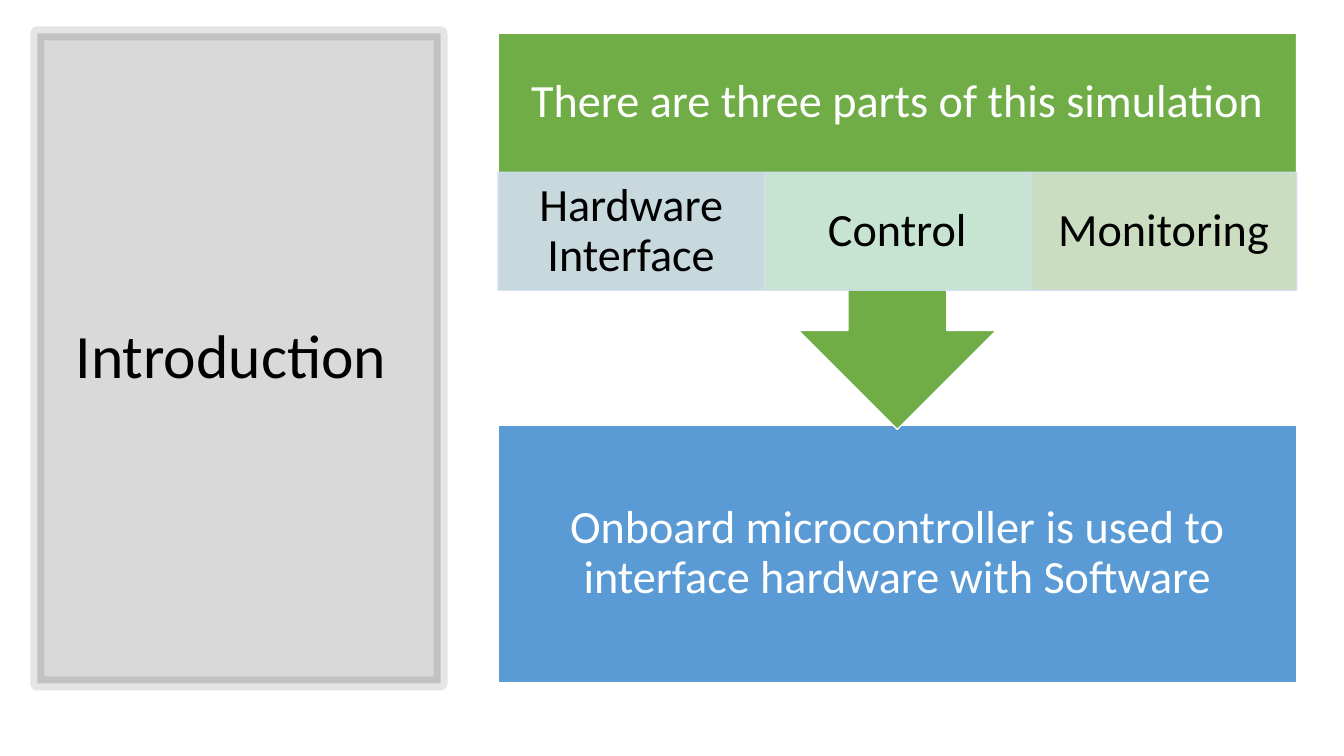
from lxml import etree
from pptx import Presentation
from pptx import util as u
from pptx.dml.color import RGBColor
from pptx.enum import shapes, text
from pptx.oxml import ns

BLACK = RGBColor(0x00, 0x00, 0x00)
WHITE = RGBColor(0xFF, 0xFF, 0xFF)
GREEN = RGBColor(0x70, 0xAD, 0x47)
BLUE = RGBColor(0x5B, 0x9B, 0xD5)
CELL_LINE = RGBColor(0xD2, 0xDE, 0xEF)
PARTS = [
    ("Hardware Interface", CELL_LINE),
    ("Control", RGBColor(0xD0, 0xEA, 0xE1)),
    ("Monitoring", RGBColor(0xD5, 0xE3, 0xCF)),
]

FLOW_LEFT, FLOW_WIDTH = 4.94, 7.92
TOP = 0.33
HEADING_HEIGHT, PART_HEIGHT = 1.38, 1.17


def set_opacity(fill_parent, percent):
    """Make the solid fill directly under this element partly transparent."""
    color = fill_parent.find(ns.qn("a:solidFill"))[0]
    etree.SubElement(color, ns.qn("a:alpha")).set("val", str(percent * 1000))


def add_block(slide, kind, box, fill, line, line_width=1,
              fill_opacity=100, line_opacity=100):
    shape = slide.shapes.add_shape(kind, *map(u.Inches, box))
    shape.shadow.inherit = False
    shape.fill.solid()
    shape.fill.fore_color.rgb = fill
    shape.line.color.rgb = line
    shape.line.width = u.Pt(line_width)
    properties = shape.fill._xPr
    if fill_opacity < 100:
        set_opacity(properties, fill_opacity)
    if line_opacity < 100:
        set_opacity(properties.find(ns.qn("a:ln")), line_opacity)
    return shape


def write(shape, words, color, size=33, align=text.PP_ALIGN.CENTER,
          side=0.25, edge=0.05):
    frame = shape.text_frame
    frame.text = words
    frame.word_wrap = True
    frame.vertical_anchor = text.MSO_ANCHOR.MIDDLE
    frame.margin_left = frame.margin_right = u.Inches(side)
    frame.margin_top = frame.margin_bottom = u.Inches(edge)
    paragraph = frame.paragraphs[0]
    paragraph.alignment = align
    paragraph.line_spacing = 0.9
    font = paragraph.runs[0].font
    font.name = "Calibri"
    font.size = u.Pt(size)
    font.color.rgb = color


def add_title_panel(slide):
    panel = add_block(slide, shapes.MSO_SHAPE.RECTANGLE, (0.37, TOP, 4, 6.45),
                      BLACK, BLACK, 10, fill_opacity=15, line_opacity=10)
    write(panel, "Introduction", BLACK, 44, text.PP_ALIGN.LEFT, side=0.38)


def add_result(slide):
    result = add_block(slide, shapes.MSO_SHAPE.RECTANGLE,
                       (FLOW_LEFT, 4.22, FLOW_WIDTH, 2.55), BLUE, WHITE)
    write(result, "Onboard microcontroller is used to interface hardware "
          "with Software", WHITE, edge=0.25)


def add_callout(slide):
    callout = add_block(slide, shapes.MSO_SHAPE.UP_ARROW_CALLOUT,
                        (FLOW_LEFT, TOP, FLOW_WIDTH, 3.93), GREEN, WHITE)
    callout.rotation = 180
    # The callout is upside down, so its heading has its own upright box
    heading = slide.shapes.add_textbox(
        *map(u.Inches, (FLOW_LEFT, TOP, FLOW_WIDTH, HEADING_HEIGHT)))
    write(heading, "There are three parts of this simulation", WHITE, edge=0.25)


def add_parts(slide):
    width = FLOW_WIDTH / len(PARTS)
    for index, (name, fill) in enumerate(PARTS):
        box = (FLOW_LEFT + index * width, TOP + HEADING_HEIGHT, width, PART_HEIGHT)
        part = add_block(slide, shapes.MSO_SHAPE.RECTANGLE, box, fill, CELL_LINE,
                         fill_opacity=90, line_opacity=90)
        write(part, name, BLACK)


def main():
    presentation = Presentation()
    presentation.slide_width = u.Inches(13.33)
    presentation.slide_height = u.Inches(7.5)
    slide = presentation.slides.add_slide(presentation.slide_layouts[6])

    # Title on the left
    add_title_panel(slide)
    # Flow on the right, from back to front
    add_result(slide)
    add_callout(slide)
    add_parts(slide)

    presentation.save("out.pptx")


if __name__ == "__main__":
    main()
